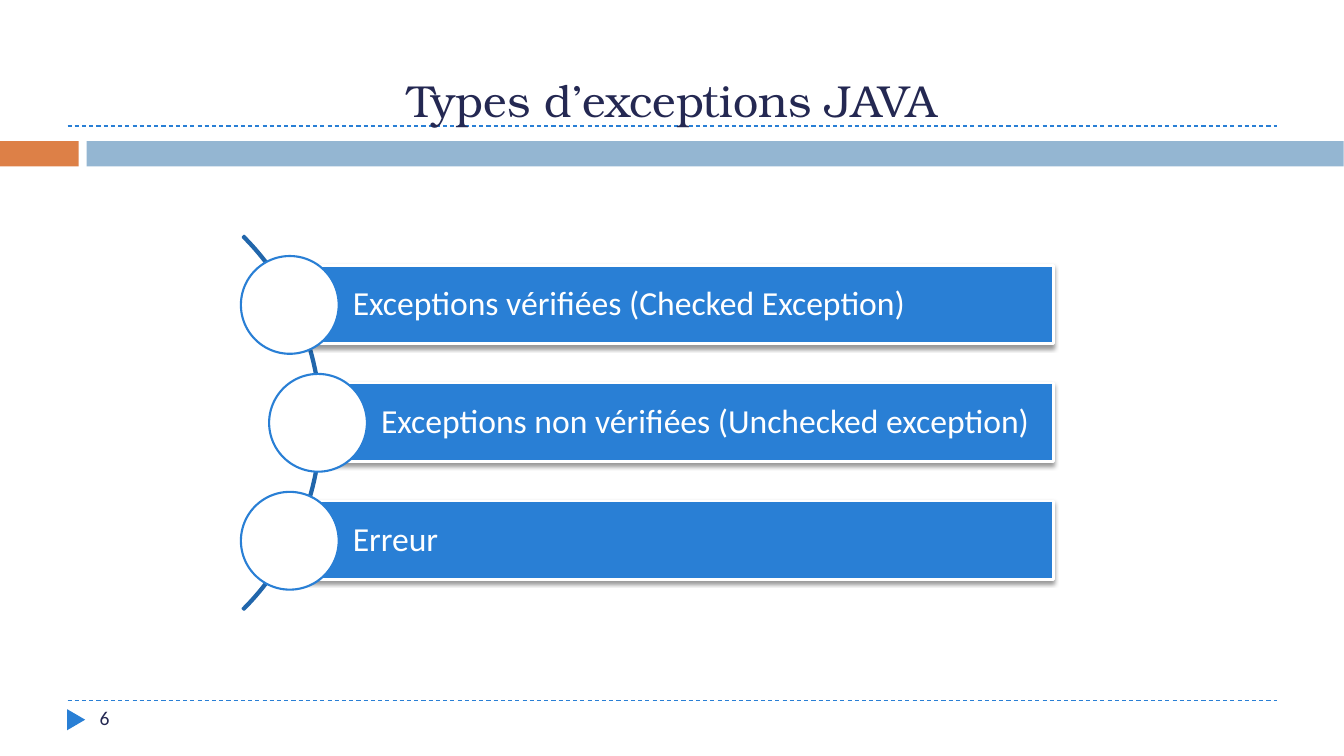
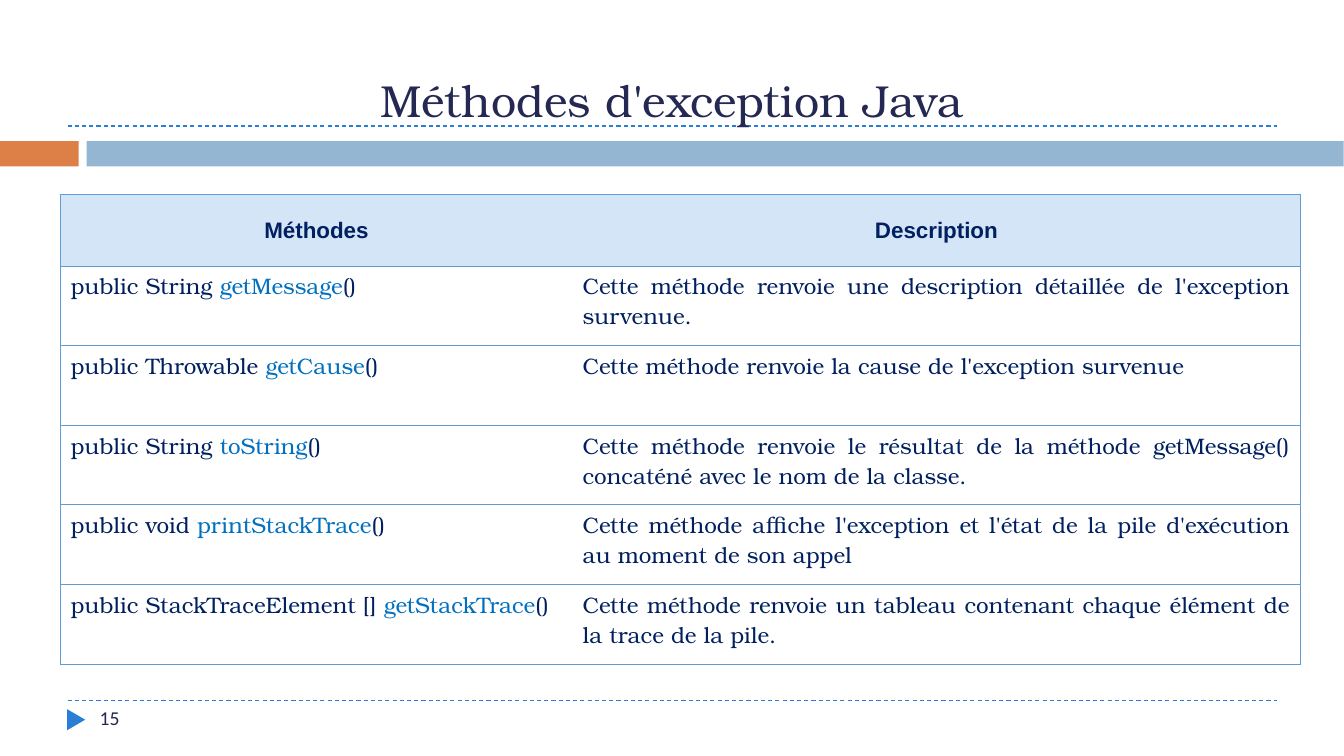
"""Build two slides about Java exceptions: their types and their methods."""
import lxml.etree
import pptx
import pptx.dml.color
import pptx.enum.dml
import pptx.enum.shapes
import pptx.enum.text
import pptx.oxml
import pptx.oxml.ns
import pptx.util

PX = 9144
SERIF, SANS = "TeX Gyre Bonum", "Calibri"
INK, NAVY, BLUE, WHITE = "242852", "002060", "297FD5", "FFFFFF"
ARC_BLUE, LINK_BLUE, RULE_BLUE = "2166AB", "0070C0", "629DD1"
HEADER_TINT, BAND_BLUE, BAND_ORANGE = "D4E5F7", "94B6D2", "DD8047"
MAIN_NS = pptx.oxml.ns.nsdecls("a")

color = pptx.dml.color.RGBColor.from_string
qn = pptx.oxml.ns.qn
Pt = pptx.util.Pt
ALIGN = pptx.enum.text.PP_ALIGN
ANCHOR = pptx.enum.text.MSO_ANCHOR
SHAPE = pptx.enum.shapes.MSO_SHAPE


def add_shape(slide, kind, box, fill, line=None, weight=0):
    shape = slide.shapes.add_shape(kind, *[n * PX for n in box])
    shape.shadow.inherit = False
    shape.fill.solid()
    shape.fill.fore_color.rgb = color(fill)
    if line:
        shape.line.color.rgb = color(line)
        shape.line.width = Pt(weight)
    else:
        shape.line.fill.background()
    return shape


def style(paragraph, font, size, ink, align=ALIGN.LEFT, bold=False):
    paragraph.alignment = align
    for run in paragraph.runs:
        run.font.name = font
        run.font.size = Pt(size)
        run.font.bold = bold
        run.font.color.rgb = color(ink)


deck = pptx.Presentation()
deck.slide_width, deck.slide_height = pptx.util.Inches(13.333), pptx.util.Inches(7.5)

slides = []
for heading, number in (("Types d’exceptions JAVA", "6"), ("Méthodes d'exception Java", "15")):
    slide = deck.slides.add_slide(deck.slide_layouts[6])
    slides.append(slide)

    for y in (695, 125):
        rule = slide.shapes.add_connector(
            pptx.enum.shapes.MSO_CONNECTOR.STRAIGHT, 67 * PX, y * PX, 1267 * PX, y * PX)
        rule.line.color.rgb = color(BLUE)
        rule.line.width = Pt(0.75)
        rule.line.dash_style = pptx.enum.dml.MSO_LINE.DASH
        lxml.etree.SubElement(rule._element.spPr, qn("a:effectLst"))

    page_marker = add_shape(slide, SHAPE.ISOSCELES_TRIANGLE, (65, 705, 21, 18), BLUE)
    page_marker.rotation = 90
    add_shape(slide, SHAPE.RECTANGLE, (86, 140, 1247, 25), BAND_BLUE)
    add_shape(slide, SHAPE.RECTANGLE, (0, 140, 78, 25), BAND_ORANGE)

    title = slide.shapes.add_textbox(67 * PX, 17 * PX, 1200 * PX, 108 * PX).text_frame
    title.word_wrap = True
    title.vertical_anchor = ANCHOR.BOTTOM
    title.margin_bottom = 0
    title.text = heading
    style(title.paragraphs[0], SERIF, 32, INK, ALIGN.CENTER)

    page_number = slide.shapes.add_textbox(89 * PX, 695 * PX, 289 * PX, 40 * PX).text_frame
    page_number.word_wrap = True
    page_number.text = number
    style(page_number.paragraphs[0], SANS, 14, INK)

types_slide, methods_slide = slides

arc = add_shape(types_slide, SHAPE.BLOCK_ARC, (-206, 157, 525, 525), ARC_BLUE, ARC_BLUE, 1.5)
for i, value in enumerate((189, 27, 0.004)):
    arc.adjustments[i] = value

exception_types = (
    ("Exceptions vérifiées (Checked Exception)", 0),
    ("Exceptions non vérifiées (Unchecked exception)", 28),
    ("Erreur", 0),
)
for i, (label, indent) in enumerate(exception_types):
    left, top = 288 + indent, 263 + 117 * i
    bar = add_shape(types_slide, SHAPE.RECTANGLE, (left, top, 1045 - left, 78), BLUE, WHITE, 2)
    bar._element.spPr.find(qn("a:effectLst")).append(pptx.oxml.parse_xml(
        f'<a:outerShdw {MAIN_NS} blurRad="38100" dist="25400" dir="5400000" rotWithShape="0">'
        '<a:srgbClr val="000000"><a:alpha val="40000"/></a:srgbClr></a:outerShdw>'))
    frame = bar.text_frame
    frame.word_wrap = True
    frame.vertical_anchor = ANCHOR.MIDDLE
    frame.margin_left = 62 * PX
    frame.margin_right = frame.margin_top = frame.margin_bottom = 7 * PX
    frame.text = label
    frame.paragraphs[0].line_spacing = 0.9
    style(frame.paragraphs[0], SANS, 24, WHITE)
    add_shape(types_slide, SHAPE.OVAL, (left - 49, top - 9, 97, 97), WHITE, BLUE, 1.5)

methods = (
    ("public String ", "getMessage",
     "Cette méthode renvoie une description détaillée de l'exception survenue."),
    ("public Throwable ", "getCause",
     "Cette méthode renvoie la cause de l'exception survenue"),
    ("public String ", "toString",
     "Cette méthode renvoie le résultat de la méthode getMessage() concaténé avec le nom de la classe."),
    ("public void ", "printStackTrace",
     "Cette méthode affiche l'exception et l'état de la pile d'exécution au moment de son appel"),
    ("public StackTraceElement [] ", "getStackTrace",
     "Cette méthode renvoie un tableau contenant chaque élément de la trace de la pile."),
)
table = methods_slide.shapes.add_table(
    len(methods) + 1, 2, 60 * PX, 193 * PX, 1230 * PX, 466 * PX).table
table.first_row = table.horz_banding = False
for column, width in zip(table.columns, (508, 722)):
    column.width = width * PX
for i, row in enumerate(table.rows):
    row.height = (79 if i else 71) * PX
    for j, cell in enumerate(row.cells):
        inner_side = "lnL" if j else "lnR"
        for side in ("lnL", "lnR", "lnT", "lnB"):
            paint = "<a:noFill/>" if side == inner_side else (
                f'<a:solidFill><a:srgbClr val="{RULE_BLUE}"/></a:solidFill>')
            cell._tc.get_or_add_tcPr().append(
                pptx.oxml.parse_xml(f'<a:{side} {MAIN_NS} w="9525">{paint}</a:{side}>'))
        if i:
            cell.fill.background()
        else:
            cell.fill.solid()
            cell.fill.fore_color.rgb = color(HEADER_TINT)

for cell, heading in zip(table.rows[0].cells, ("Méthodes", "Description")):
    cell.vertical_anchor = ANCHOR.MIDDLE
    cell.text_frame.text = heading
    style(cell.text_frame.paragraphs[0], "Arial", 16, NAVY, ALIGN.CENTER, bold=True)

for i, (returned, method, description) in enumerate(methods, start=1):
    signature = table.cell(i, 0).text_frame.paragraphs[0]
    for part in (returned, method, "()"):
        signature.add_run().text = part
    style(signature, SERIF, 16, NAVY)
    signature.runs[1].font.color.rgb = color(LINK_BLUE)
    explanation = table.cell(i, 1).text_frame
    explanation.text = description
    style(explanation.paragraphs[0], SERIF, 16, NAVY, ALIGN.JUSTIFY)

deck.save("out.pptx")
